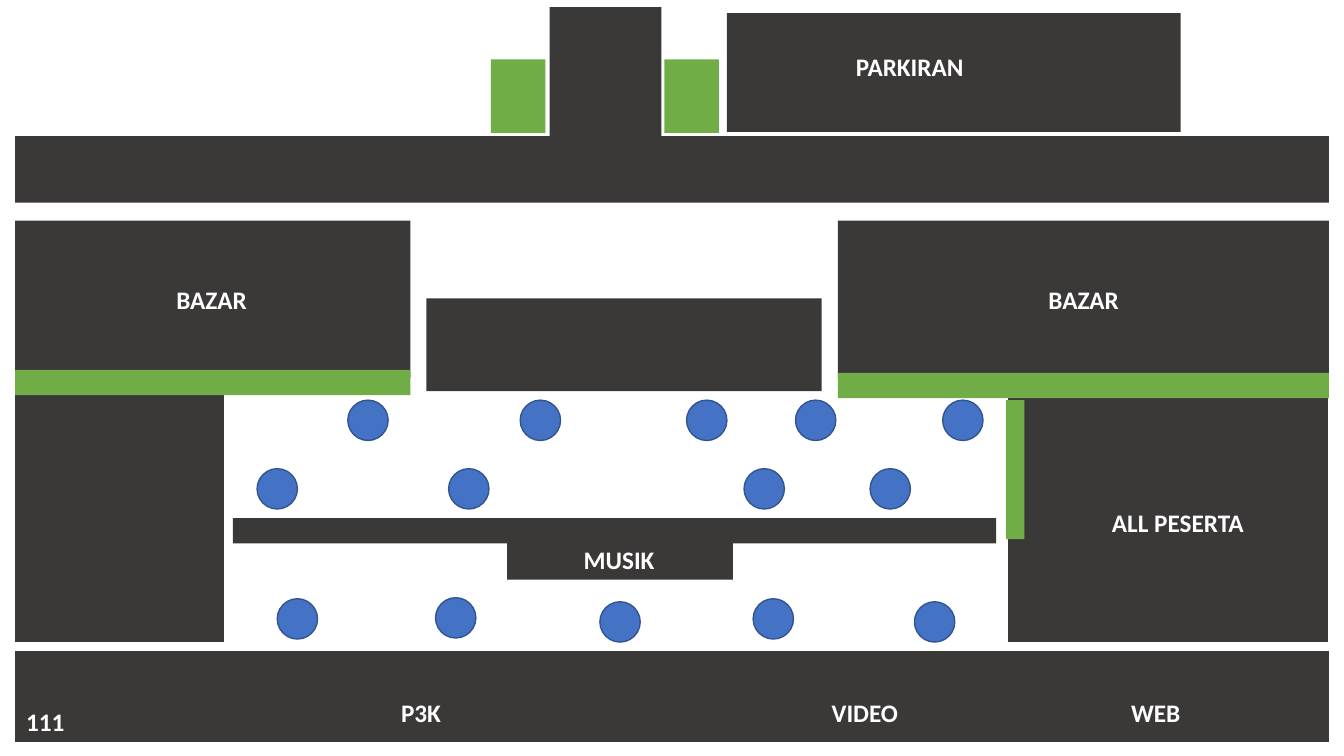
import pptx
import pptx.dml.color
import pptx.enum.shapes
import pptx.enum.text
import pptx.util

Inches = pptx.util.Inches
SHAPE = pptx.enum.shapes.MSO_SHAPE

DARK, GREEN, BLUE, OUTLINE, WHITE = "3B3838", "70AD47", "4472C4", "325491", "FFFFFF"
LEFT_EDGE, FULL_WIDTH = 0.15, 13.03
BAZAR_TOP, BAZAR_HEIGHT = 2.19, 1.56
GUEST_SIZE = 0.4
LABEL_HEIGHT = 0.4

LOWER_ROOMS = [
    (10, 3.91, 3.17, 2.46),
    (LEFT_EDGE, 6.46, FULL_WIDTH, 0.9),
    (LEFT_EDGE, 3.91, 2.07, 2.46),
    (2.31, 5.14, 7.57, 0.25),
    (4.23, 2.96, 3.92, 0.92),
]
BAZARS = [(8.31, 4.87, 10.3), (LEFT_EDGE, 3.92, 1.65)]
ENTRANCE = [
    (LEFT_EDGE, 1.35, FULL_WIDTH, 0.66),
    (5.45, 0.07, 1.11, 1.43),
]
LABELLED_ROOMS = [
    ((7.21, 0.13, 4.5, 1.18), ("PARKIRAN", 8.39, 0.46, 1.28)),
    ((5.03, 5.38, 2.24, 0.37), ("MUSIK", 5.69, 5.35, 0.91)),
]
FRONT_GUESTS = [(2.75, 5.94), (4.32, 5.93), (7.47, 5.94), (9.07, 5.97), (5.95, 5.97)]
GUEST_ROWS = [
    (3.97, [9.35, 7.89, 6.81, 5.16, 3.45]),
    (4.65, [8.63, 7.38, 4.45, 2.55]),
]
AREA_LABELS = [
    ("ALL PESERTA", 10.93, 4.98, 1.52),
    ("WEB", 11.12, 6.87, 0.7),
    ("VIDEO", 8.15, 6.87, 0.87),
    ("P3K", 3.88, 6.87, 0.6),
]
HEDGES = [
    (LEFT_EDGE, 3.67, 3.92, 0.25),
    (8.31, 3.7, 4.87, 0.25),
    (4.87, 0.59, 0.54, 0.73),
    (6.59, 0.59, 0.54, 0.73),
    (9.98, 3.97, 0.18, 1.38),
]


def color(value):
    """Return the colour for a hex string."""
    return pptx.dml.color.RGBColor.from_string(value)


def add_filled(shapes, kind, box, fill):
    """Add a flat filled shape without an outline."""
    shape = shapes.add_shape(kind, *map(Inches, box))
    shape.shadow.inherit = False
    shape.fill.solid()
    shape.fill.fore_color.rgb = color(fill)
    shape.line.fill.background()
    return shape


def add_room(shapes, box, fill=DARK):
    """Add a rectangular area of the floor plan."""
    return add_filled(shapes, SHAPE.RECTANGLE, box, fill)


def add_guest(shapes, left, top):
    """Add a round outlined marker."""
    box = (left, top, GUEST_SIZE, GUEST_SIZE)
    shape = add_filled(shapes, SHAPE.FLOWCHART_CONNECTOR, box, BLUE)
    shape.line.color.rgb = color(OUTLINE)
    shape.line.width = pptx.util.Pt(1)


def add_label(shapes, text, left, top, width):
    """Add a bold white label on one line."""
    box = map(Inches, (left, top, width, LABEL_HEIGHT))
    frame = shapes.add_textbox(*box).text_frame
    frame.word_wrap = False
    frame.auto_size = pptx.enum.text.MSO_AUTO_SIZE.SHAPE_TO_FIT_TEXT
    run = frame.paragraphs[0].add_run()
    run.text = text
    run.font.name = "Calibri"
    run.font.size = pptx.util.Pt(18)
    run.font.bold = True
    run.font.color.rgb = color(WHITE)


def add_bazar(shapes, left, width, label_left):
    """Add a bazaar area grouped with its label."""
    group = shapes.add_group_shape()
    add_room(group.shapes, (left, BAZAR_TOP, width, BAZAR_HEIGHT))
    add_label(group.shapes, "BAZAR", label_left, 2.77, 0.91)


def add_guest_row(shapes, top, lefts):
    """Add a group of markers that share one height."""
    group = shapes.add_group_shape()
    for left in lefts:
        add_guest(group.shapes, left, top)


def main():
    """Build the floor plan slide and save it."""
    presentation = pptx.Presentation()
    presentation.slide_width = Inches(13.33)
    presentation.slide_height = Inches(7.5)
    slide = presentation.slides.add_slide(presentation.slide_layouts[6])
    shapes = slide.shapes

    for box in LOWER_ROOMS:
        add_room(shapes, box)
    for bazar in BAZARS:
        add_bazar(shapes, *bazar)
    for box in ENTRANCE:
        add_room(shapes, box)
    for box, label in LABELLED_ROOMS:
        add_room(shapes, box)
        add_label(shapes, *label)
    for position in FRONT_GUESTS:
        add_guest(shapes, *position)
    for top, lefts in GUEST_ROWS:
        add_guest_row(shapes, top, lefts)
    for label in AREA_LABELS:
        add_label(shapes, *label)
    for box in HEDGES:
        add_room(shapes, box, GREEN)
    add_label(shapes, "111", 0.16, 6.96, 0.59)

    presentation.save("out.pptx")


if __name__ == "__main__":
    main()
